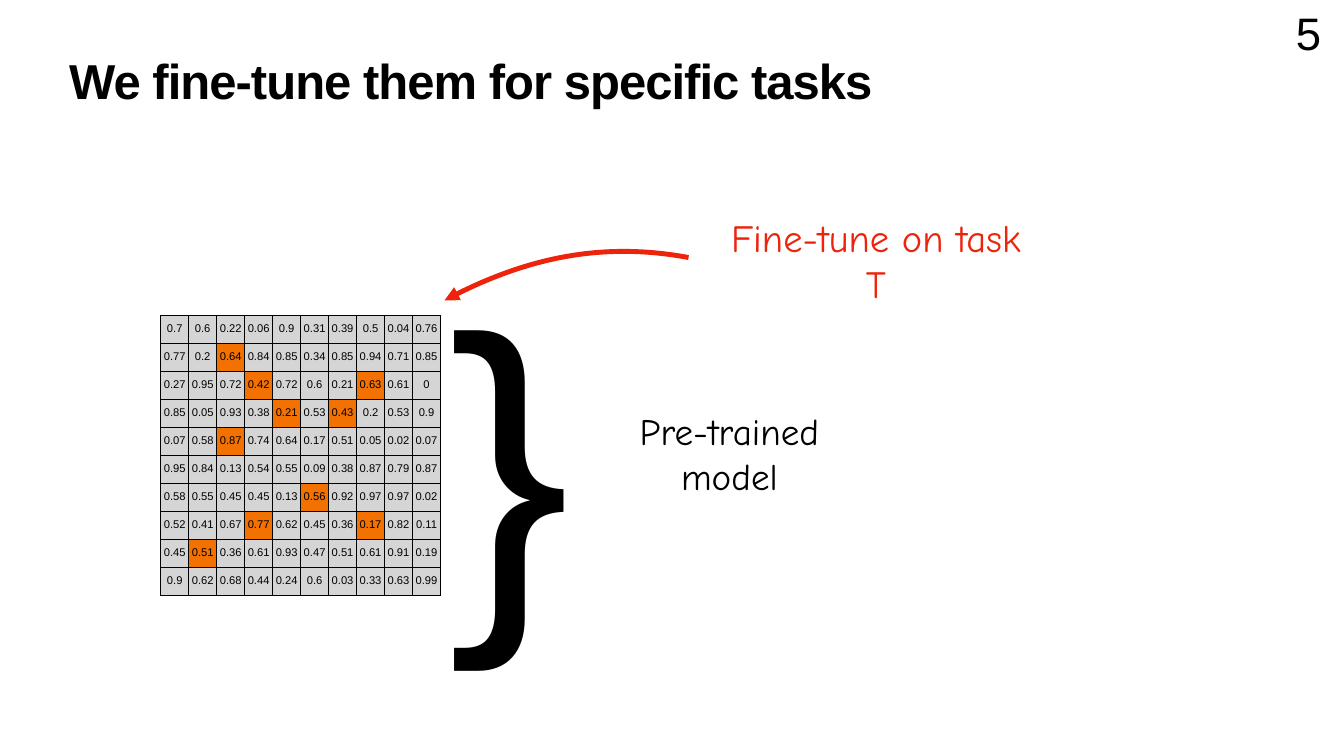
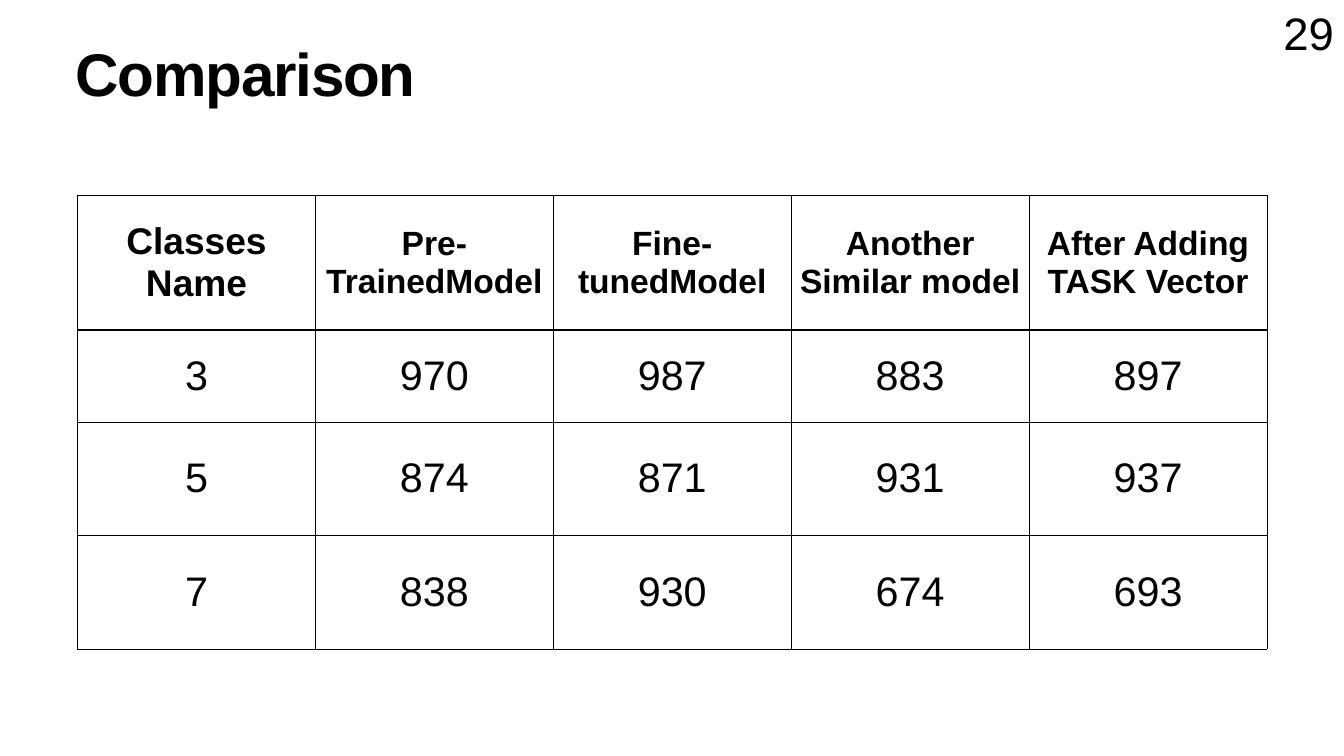
import pptx
import pptx.util
import pptx.dml.color
import pptx.enum.text
import pptx.oxml
import pptx.oxml.ns
from lxml import etree

Cm = pptx.util.Cm
Pt = pptx.util.Pt
RGB = pptx.dml.color.RGBColor
ALIGN = pptx.enum.text.PP_ALIGN
ANCHOR = pptx.enum.text.MSO_ANCHOR
FIT = pptx.enum.text.MSO_AUTO_SIZE
qn = pptx.oxml.ns.qn

BLACK = RGB(0, 0, 0)
RED = RGB(0xEE, 0x23, 0x0C)
GREY = RGB(0xD5, 0xD5, 0xD5)
ORANGE = RGB(0xF2, 0x71, 0x00)
SANS = "Arial"
HAND = "Comic Neue"
INSET = Cm(0.14)
WIDTH, HEIGHT = 67.73, 38.1
SIDES = ("L", "R", "T", "B")

WEIGHTS = """
0.7 0.6 0.22 0.06 0.9 0.31 0.39 0.5 0.04 0.76
0.77 0.2 0.64 0.84 0.85 0.34 0.85 0.94 0.71 0.85
0.27 0.95 0.72 0.42 0.72 0.6 0.21 0.63 0.61 0
0.85 0.05 0.93 0.38 0.21 0.53 0.43 0.2 0.53 0.9
0.07 0.58 0.87 0.74 0.64 0.17 0.51 0.05 0.02 0.07
0.95 0.84 0.13 0.54 0.55 0.09 0.38 0.87 0.79 0.87
0.58 0.55 0.45 0.45 0.13 0.56 0.92 0.97 0.97 0.02
0.52 0.41 0.67 0.77 0.62 0.45 0.36 0.17 0.82 0.11
0.45 0.51 0.36 0.61 0.93 0.47 0.51 0.61 0.91 0.19
0.9 0.62 0.68 0.44 0.24 0.6 0.03 0.33 0.63 0.99
"""
TUNED = {(1, 2), (2, 3), (2, 7), (3, 4), (3, 6), (4, 2), (6, 5), (7, 3), (7, 7), (8, 1)}

SCORES = [
    ["Classes Name", "Pre-TrainedModel", "Fine-tunedModel",
     "Another Similar model", "After Adding TASK Vector"],
    ["3", "970", "987", "883", "897"],
    ["5", "874", "871", "931", "937"],
    ["7", "838", "930", "674", "693"],
]


def add_run(para, text, size, face=SANS, color=BLACK, bold=False):
    run = para.add_run()
    run.text = text
    font = run.font
    font.name, font.size, font.bold = face, Pt(size), bold
    font.color.rgb = color
    return run


def pad(item):
    item.margin_left = item.margin_right = INSET
    item.margin_top = item.margin_bottom = INSET


def add_frame(slide, box):
    frame = slide.shapes.add_textbox(*map(Cm, box)).text_frame
    pad(frame)
    return frame


def add_title(slide, box, text, size):
    frame = add_frame(slide, box)
    frame.word_wrap = True
    para = frame.paragraphs[0]
    para.line_spacing = 0.8
    run = add_run(para, text, size, bold=True)
    run.font._element.set("spc", str(-2 * size))


def add_label(slide, box, text, size, face=SANS, color=BLACK, anchor=ANCHOR.MIDDLE):
    frame = add_frame(slide, box)
    frame.word_wrap = False
    frame.auto_size = FIT.SHAPE_TO_FIT_TEXT
    frame.vertical_anchor = anchor
    para = frame.paragraphs[0]
    para.alignment = ALIGN.CENTER
    add_run(para, text, size, face, color)


def add_number(slide, text):
    width = 0.33 + 1.27 * len(text)
    box = (65.95 - width / 2, 0.15, width, 2.97)
    add_label(slide, box, text, 65, anchor=ANCHOR.BOTTOM)


def rule_cell(cell, base=1):
    props = cell._tc.get_or_add_tcPr()
    for place, side in enumerate(SIDES):
        weight = base if side == "B" else 1
        line = etree.Element(qn("a:ln" + side), w=str(Pt(weight)))
        fill = etree.SubElement(line, qn("a:solidFill"))
        etree.SubElement(fill, qn("a:srgbClr"), val=str(BLACK))
        props.insert(place, line)


def fill_cell(cell, text, size, color=None, bold=False, base=1):
    pad(cell)
    cell.vertical_anchor = ANCHOR.MIDDLE
    if color is None:
        cell.fill.background()
    else:
        cell.fill.solid()
        cell.fill.fore_color.rgb = color
    rule_cell(cell, base)
    para = cell.text_frame.paragraphs[0]
    para.alignment = ALIGN.CENTER
    add_run(para, text, size, bold=bold)


def add_grid(slide, left, top, cols, rows):
    box = (left, top, sum(cols), sum(rows))
    table = slide.shapes.add_table(len(rows), len(cols), *map(Cm, box)).table
    table.first_row = table.horz_banding = False
    for col, width in zip(table.columns, cols):
        col.width = Cm(width)
    for row, height in zip(table.rows, rows):
        row.height = Cm(height)
    return table


def draw_weights(slide, left, top, side):
    rows = [line.split() for line in WEIGHTS.split("\n") if line]
    steps = [side / len(rows)] * len(rows)
    table = add_grid(slide, left, top, steps, steps)
    for r, row in enumerate(rows):
        for c, text in enumerate(row):
            color = ORANGE if (r, c) in TUNED else GREY
            fill_cell(table.cell(r, c), text, 16, color)


def draw_scores(slide, left, top, width, heights):
    count = len(SCORES[0])
    table = add_grid(slide, left, top, [width / count] * count, heights)
    for r, row in enumerate(SCORES):
        for c, text in enumerate(row):
            if r:
                fill_cell(table.cell(r, c), text, 59)
            else:
                fill_cell(table.cell(r, c), text, 48 if c else 53, bold=True, base=3)


def add_curve(slide, start, bends, end, peak):
    spots = [(Cm(x), Cm(y)) for x, y in (start, *bends, end)]
    build = slide.shapes.build_freeform(*spots[0])
    build.add_line_segments([(spots[1][0], Cm(peak)), spots[-1]], close=False)
    curve = build.convert_to_shape()
    curve.shadow.inherit = False
    curve.fill.background()
    curve.line.color.rgb = RED
    curve.line.width = Pt(7)
    track = curve._element.find(".//" + qn("a:pathLst"))[0]
    for step in track.findall(qn("a:lnTo")):
        track.remove(step)
    cubic = etree.SubElement(track, qn("a:cubicBezTo"))
    for x, y in spots[1:]:
        etree.SubElement(cubic, qn("a:pt"), x=str(x - curve.left), y=str(y - curve.top))
    line = curve.line._get_or_add_ln()
    etree.SubElement(line, qn("a:headEnd"), type="triangle")


def draw_model(slide, left, top, side):
    def at(x, y):
        return left + x, top + y

    add_label(slide, (*at(21.8, 5.79), 13.72, 2.34), "Pre-trained model", 53, HAND)
    add_label(slide, (*at(28.35, -3.97), 15.39, 2.39), "Fine-tune on task T", 55, HAND, RED)
    draw_weights(slide, left, top, side)
    add_label(slide, (*at(14.35, -2.57), 6.45, 18.69), "}", 522)
    bends = at(18.42, -2.95), at(22.53, -3.66)
    add_curve(slide, at(14.3, -0.74), bends, at(26.6, -2.9), top - 3.18)


def main():
    deck = pptx.Presentation()
    deck.slide_width, deck.slide_height = Cm(WIDTH), Cm(HEIGHT)
    blank = deck.slide_layouts[6]

    tune = deck.slides.add_slide(blank)
    add_title(tune, (3.35, 3, 61.04, 3.99), "We fine-tune them for specific tasks", 70)
    draw_model(tune, 8.1, 15.88, 14.1)
    add_number(tune, "5")

    match = deck.slides.add_slide(blank)
    add_number(match, "29")
    draw_scores(match, 3.91, 9.83, 59.94, [6.81, 4.62, 5.72, 5.72])
    add_title(match, (3.66, 2.41, 23.16, 5.16), "Comparison", 86)

    deck.save("out.pptx")


if __name__ == "__main__":
    main()
